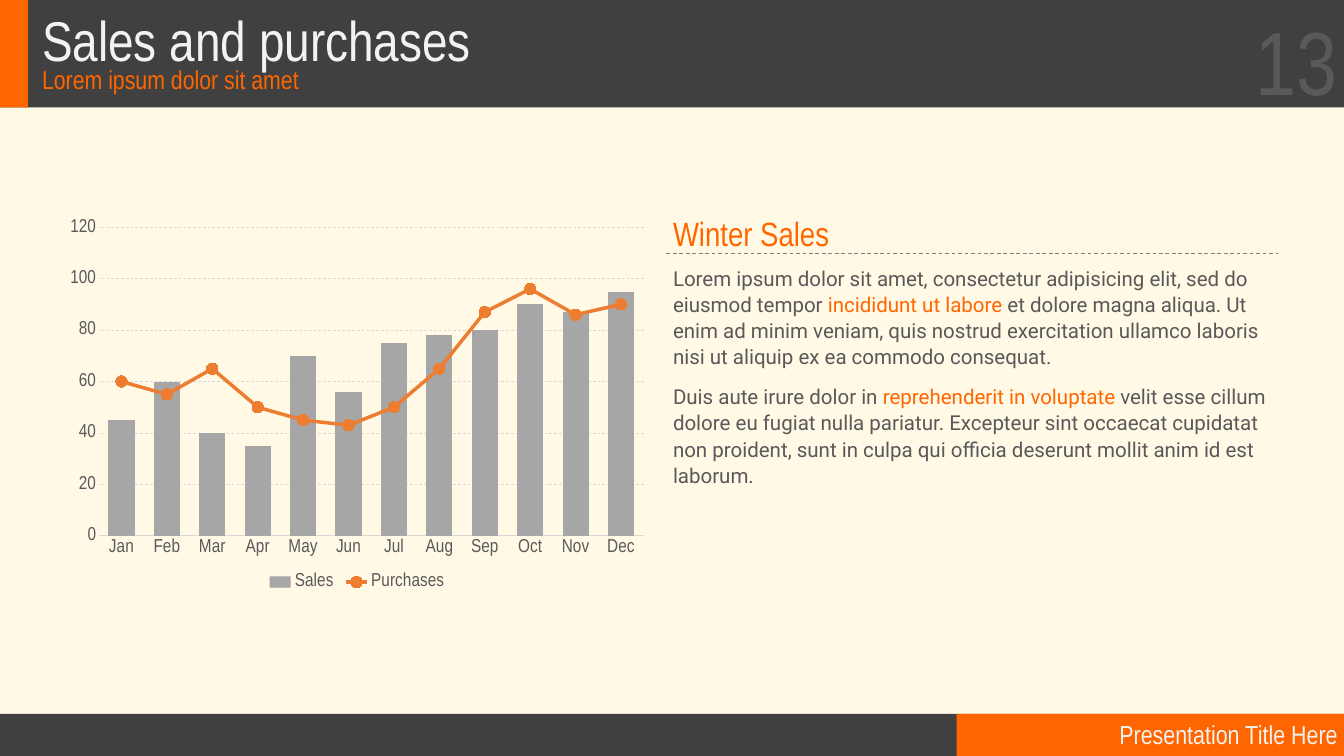
import pptx
import pptx.chart.data
import pptx.dml.color
import pptx.enum.chart
import pptx.enum.dml
import pptx.enum.shapes
import pptx.enum.text
import pptx.oxml
import pptx.oxml.ns
import pptx.util

Pt = pptx.util.Pt
RGB = pptx.dml.color.RGBColor
ANCHOR = pptx.enum.text.MSO_ANCHOR
ALIGN = pptx.enum.text.PP_ALIGN
DASH = pptx.enum.dml.MSO_LINE.DASH

CREAM = RGB(0xFF, 0xF9, 0xE6)
CHARCOAL = RGB(0x40, 0x40, 0x40)
ORANGE = RGB(0xFF, 0x66, 0x00)
OFF_WHITE = RGB(0xF2, 0xF2, 0xF2)
TEXT_GRAY = RGB(0x59, 0x59, 0x59)
RULE_GRAY = RGB(0x7F, 0x7F, 0x7F)
GRID_GRAY = RGB(0xD9, 0xD9, 0xD9)
BAR_GRAY = RGB(0xA6, 0xA6, 0xA6)
LINE_ORANGE = RGB(0xED, 0x7D, 0x31)

WIDTH, HEIGHT = 1440, 810
HEADER_HEIGHT, FOOTER_HEIGHT = 115, 45
FOOTER_TOP = HEIGHT - FOOTER_HEIGHT
BODY_LEFT, BODY_WIDTH = 714, 655

MONTHS = "Jan Feb Mar Apr May Jun Jul Aug Sep Oct Nov Dec".split()
SALES = (45, 60, 40, 35, 70, 56, 75, 78, 80, 90, 87, 95)
PURCHASES = (60, 55, 65, 50, 45, 43, 50, 65, 87, 96, 86, 90)

PARAGRAPHS = [
    [("Lorem ipsum dolor sit amet, consectetur adipisicing elit, sed do "
      "eiusmod tempor ", TEXT_GRAY),
     ("incididunt ut labore", ORANGE),
     (" et dolore magna aliqua. Ut enim ad minim veniam, quis nostrud "
      "exercitation ullamco laboris nisi ut aliquip ex ea commodo consequat.",
      TEXT_GRAY)],
    [("Duis aute irure dolor in ", TEXT_GRAY),
     ("reprehenderit in voluptate ", ORANGE),
     ("velit esse cillum dolore eu fugiat nulla pariatur. Excepteur sint "
      "occaecat cupidatat non proident, sunt in culpa qui officia deserunt "
      "mollit anim id est laborum.", TEXT_GRAY)],
]


def write_text(frame, paragraphs, *, size, font, align=ALIGN.LEFT,
               anchor=ANCHOR.TOP, spacing=1.0, before=0):
    """Fill a text frame with paragraphs, each a list of (text, colour) runs."""
    frame.word_wrap = True
    frame.vertical_anchor = anchor
    for index, runs in enumerate(paragraphs):
        paragraph = frame.add_paragraph() if index else frame.paragraphs[0]
        paragraph.alignment = align
        paragraph.line_spacing = spacing
        paragraph.space_before = Pt(before if index else 0)
        for words, color in runs:
            run = paragraph.add_run()
            run.text = words
            run.font.size = Pt(size)
            run.font.name = font
            run.font.color.rgb = color


def style_font(font, color=TEXT_GRAY):
    """Give a chart part the chart's lettering."""
    font.name = "Arial Narrow"
    font.size = Pt(20)
    font.color.rgb = color


def split_off_line(chart):
    """Move the last column series into a line plot on the same axes."""
    columns = chart.plots[0]._element
    qn = pptx.oxml.ns.qn
    series = columns.findall(qn("c:ser"))[-1]
    for column_only in series.findall(qn("c:invertIfNegative")):
        series.remove(column_only)
    line_plot = pptx.oxml.parse_xml(
        f'<c:lineChart {pptx.oxml.ns.nsdecls("c")}>'
        '<c:grouping val="standard"/><c:varyColors val="0"/>'
        '<c:marker val="1"/></c:lineChart>')
    line_plot.insert(2, series)
    for axis in columns.findall(qn("c:axId")):
        line_plot.append(pptx.oxml.parse_xml(
            f'<c:axId {pptx.oxml.ns.nsdecls("c")} val="{axis.get("val")}"/>'))
    columns.addnext(line_plot)


class Deck:
    """Holds the style and the current slide."""

    display_font = "Arial Narrow"
    body_font = "Roboto"

    def __init__(self):
        """Open a deck with one blank slide on a cream ground."""
        self.deck = pptx.Presentation()
        self.deck.slide_width, self.deck.slide_height = Pt(WIDTH), Pt(HEIGHT)
        self.slide = self.deck.slides.add_slide(self.deck.slide_layouts[6])
        self.slide.background.fill.solid()
        self.slide.background.fill.fore_color.rgb = CREAM

    def band(self, left, top, width, height, color):
        """Draw a plain filled rectangle."""
        band = self.slide.shapes.add_shape(
            pptx.enum.shapes.MSO_SHAPE.RECTANGLE,
            Pt(left), Pt(top), Pt(width), Pt(height))
        band.shadow.inherit = False
        band.fill.solid()
        band.fill.fore_color.rgb = color
        band.line.fill.background()

    def rule(self, left, top, width):
        """Draw a dashed horizontal rule."""
        rule = self.slide.shapes.add_connector(
            pptx.enum.shapes.MSO_CONNECTOR.STRAIGHT,
            Pt(left), Pt(top), Pt(left + width), Pt(top))
        rule.line.color.rgb = RULE_GRAY
        rule.line.width = Pt(1)
        rule.line.dash_style = DASH
        rule._element.spPr.append(pptx.oxml.parse_xml(
            f'<a:effectLst {pptx.oxml.ns.nsdecls("a")}/>'))

    def paragraphs(self, left, top, width, height, paragraphs, **style):
        """Place a text box of one or more paragraphs."""
        box = self.slide.shapes.add_textbox(
            Pt(left), Pt(top), Pt(width), Pt(height))
        write_text(box.text_frame, paragraphs, **style)

    def label(self, left, top, width, height, words, color, **style):
        """Place a single line in the display font."""
        self.paragraphs(left, top, width, height, [[(words, color)]],
                        font=self.display_font, **style)

    def sales_chart(self, left, top, width, height):
        """Draw sales as columns and purchases as a marked line."""
        figures = pptx.chart.data.CategoryChartData()
        figures.categories = MONTHS
        figures.add_series("Sales", SALES)
        figures.add_series("Purchases", PURCHASES)
        chart = self.slide.shapes.add_chart(
            pptx.enum.chart.XL_CHART_TYPE.COLUMN_CLUSTERED,
            Pt(left), Pt(top), Pt(width), Pt(height), figures).chart
        split_off_line(chart)
        chart.has_title = False
        style_font(chart.font)

        columns, line_plot = chart.plots
        columns.gap_width, columns.overlap = 74, -7
        columns.vary_by_categories = False
        sales, purchases = columns.series[0], line_plot.series[0]
        sales.format.fill.solid()
        sales.format.fill.fore_color.rgb = BAR_GRAY
        purchases.smooth = False
        purchases.format.line.color.rgb = LINE_ORANGE
        purchases.format.line.width = Pt(3.75)
        marker = purchases.marker
        marker.style = pptx.enum.chart.XL_MARKER_STYLE.CIRCLE
        marker.size = 12
        marker.format.fill.solid()
        marker.format.fill.fore_color.rgb = LINE_ORANGE
        marker.format.line.color.rgb = LINE_ORANGE

        months, amounts = chart.category_axis, chart.value_axis
        for axis in (months, amounts):
            axis.major_tick_mark = pptx.enum.chart.XL_TICK_MARK.NONE
            axis.minor_tick_mark = pptx.enum.chart.XL_TICK_MARK.NONE
            style_font(axis.tick_labels.font)
        amounts.minimum_scale, amounts.maximum_scale = 0, 120
        amounts.major_unit = 20
        amounts.format.line.fill.background()
        grid = amounts.major_gridlines.format.line
        for line in (months.format.line, grid):
            line.color.rgb = GRID_GRAY
            line.width = Pt(0.75)
        grid.dash_style = DASH

        chart.has_legend = True
        chart.legend.position = pptx.enum.chart.XL_LEGEND_POSITION.BOTTOM
        chart.legend.include_in_layout = False
        style_font(chart.legend.font)


def main():
    """Build the slide and save it."""
    deck = Deck()
    deck.band(0, FOOTER_TOP, WIDTH, FOOTER_HEIGHT, CHARCOAL)
    deck.band(1025, FOOTER_TOP, WIDTH - 1025, FOOTER_HEIGHT, ORANGE)
    deck.band(0, 0, WIDTH, HEADER_HEIGHT, CHARCOAL)
    deck.band(0, 0, 30, HEADER_HEIGHT, ORANGE)
    deck.rule(BODY_LEFT, 271.5, BODY_WIDTH)

    deck.label(38, 10, 1390, 60, "Sales and purchases", OFF_WHITE,
               size=60, spacing=0.9)
    deck.label(954, FOOTER_TOP, 486, 43, "Presentation Title Here", OFF_WHITE,
               size=28, align=ALIGN.RIGHT, anchor=ANCHOR.MIDDLE)
    deck.label(1116, 0, 324, 127, "13", TEXT_GRAY,
               size=96, align=ALIGN.RIGHT, anchor=ANCHOR.MIDDLE)
    deck.label(38, 71, 1390, 35, "Lorem ipsum dolor sit amet", ORANGE,
               size=27.8, spacing=0.8)
    deck.label(BODY_LEFT, 225.5, BODY_WIDTH, 50, "Winter Sales", ORANGE,
               size=36, spacing=0.9, anchor=ANCHOR.BOTTOM)
    deck.paragraphs(BODY_LEFT, 279.5, BODY_WIDTH, 358, PARAGRAPHS,
                    size=22, font=deck.body_font, spacing=Pt(28), before=15)
    deck.sales_chart(62.5, 225.5, 640, 412)
    deck.deck.save("out.pptx")


main()
